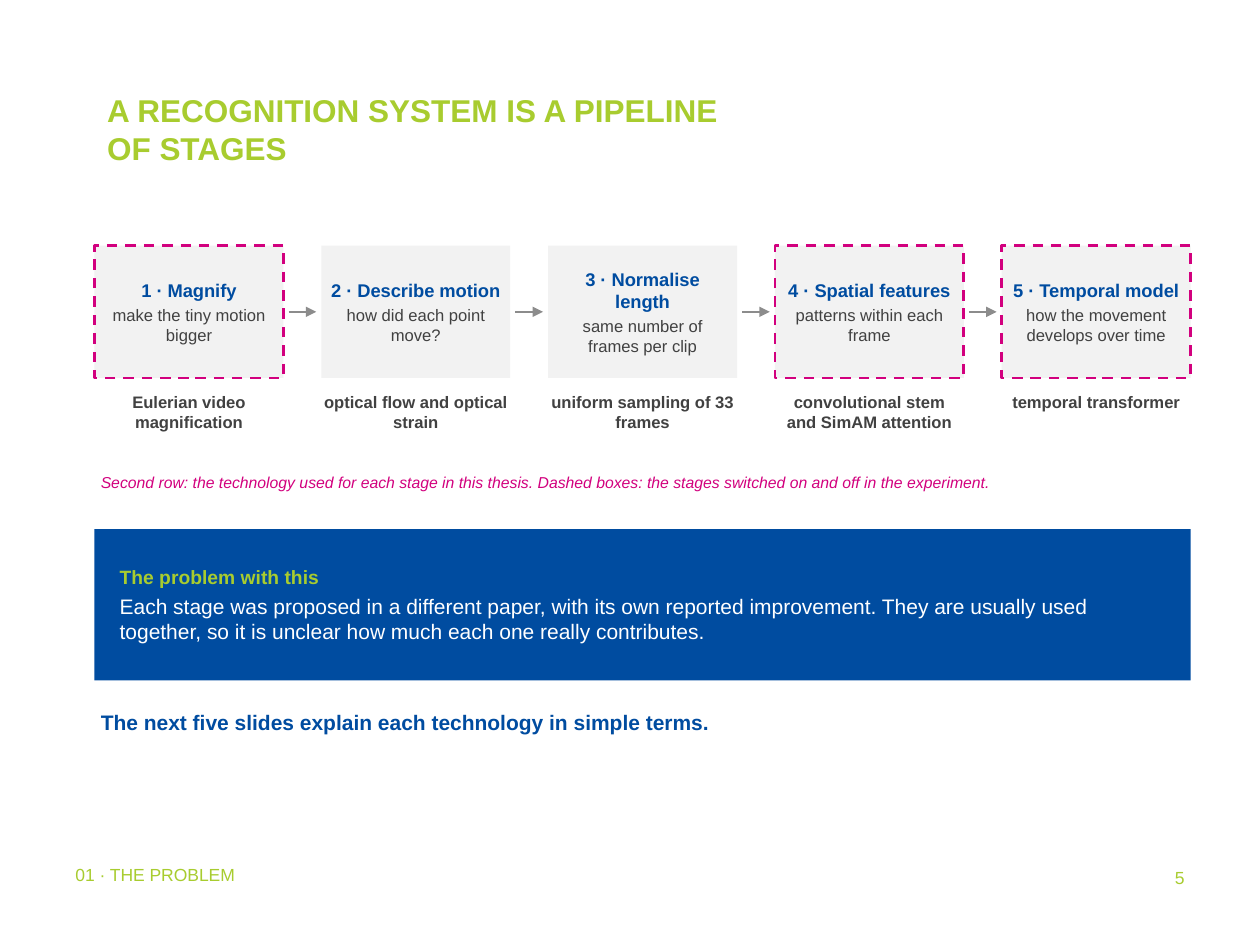
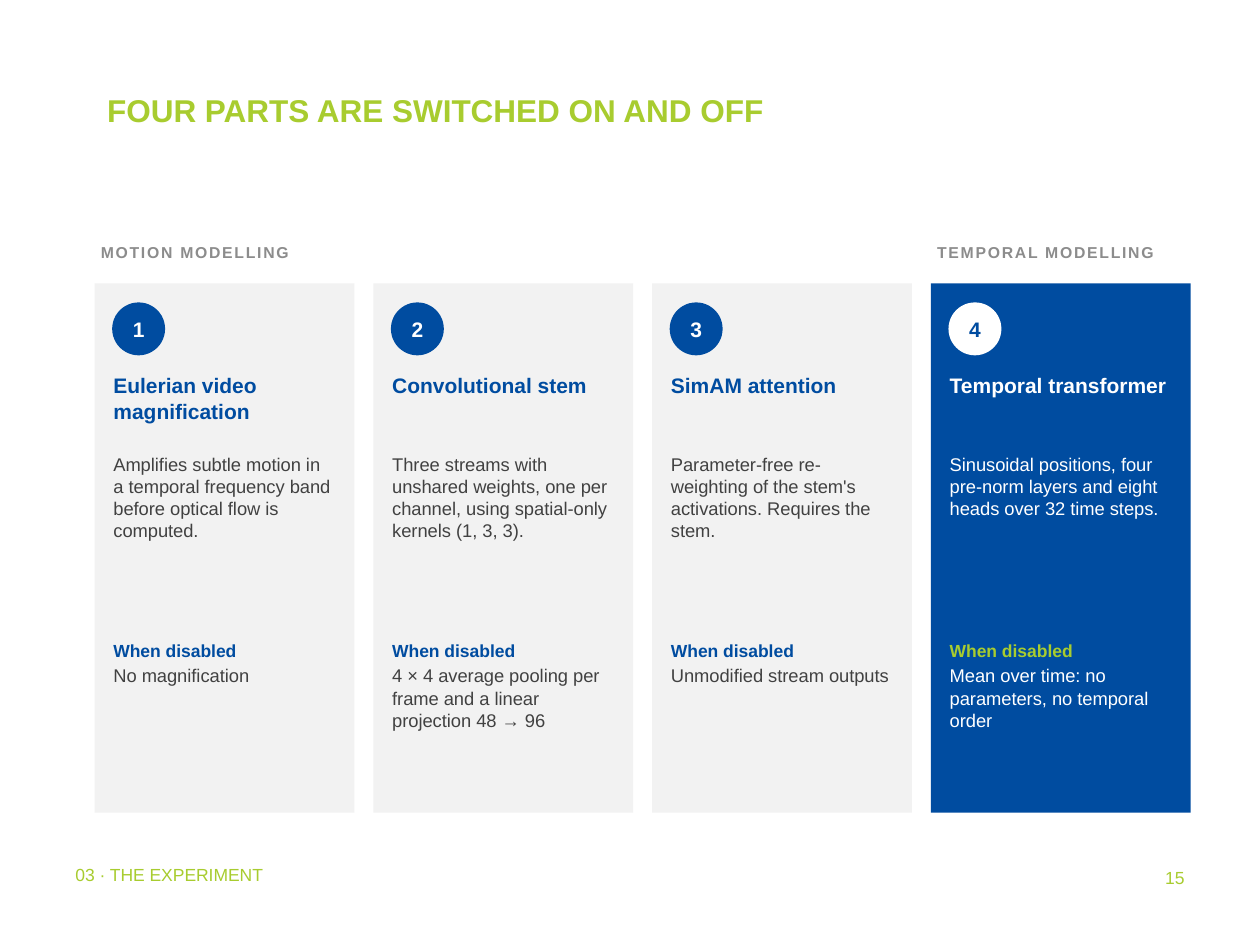
from lxml.etree import SubElement
from pptx import Presentation
from pptx.dml.color import RGBColor
from pptx.enum.dml import MSO_LINE
from pptx.enum.shapes import MSO_CONNECTOR, MSO_SHAPE
from pptx.enum.text import MSO_ANCHOR, MSO_AUTO_SIZE, PP_ALIGN
from pptx.oxml.ns import qn
from pptx.util import Inches, Pt

FONT = "Arial"
GREEN = RGBColor(0xA8, 0xCC, 0x2F)
BLUE = RGBColor(0x00, 0x4C, 0xA0)
MAGENTA = RGBColor(0xD2, 0x00, 0x7E)
PALE = RGBColor(0xF2, 0xF2, 0xF2)
GREY = RGBColor(0x8C, 0x8C, 0x8C)
DARK = RGBColor(0x41, 0x41, 0x41)
WHITE = RGBColor(0xFF, 0xFF, 0xFF)

LEFT = 0.75
CONTENT_WIDTH = 8.7
TIGHT = (0.02, 0.03)
NORMAL = (0.05, 0.03)

PIPELINE = {
    "title": "A RECOGNITION SYSTEM IS A PIPELINE OF STAGES",
    "section": "01 · THE PROBLEM",
    "number": "5",
    "stages": [
        ("Magnify", "make the tiny motion bigger",
         "Eulerian video magnification", True),
        ("Describe motion", "how did each point move?",
         "optical flow and optical strain", False),
        ("Normalise length", "same number of frames per clip",
         "uniform sampling of 33 frames", False),
        ("Spatial features", "patterns within each frame",
         "convolutional stem and SimAM attention", True),
        ("Temporal model", "how the movement develops over time",
         "temporal transformer", True),
    ],
    "legend": "Second row: the technology used for each stage in this thesis. "
              "Dashed boxes: the stages switched on and off in the experiment.",
    "problem": "The problem with this",
    "explanation": "Each stage was proposed in a different paper, with its own "
                   "reported improvement. They are usually used together, so it "
                   "is unclear how much each one really contributes.",
    "outlook": "The next five slides explain each technology in simple terms.",
}

EXPERIMENT = {
    "title": "FOUR PARTS ARE SWITCHED ON AND OFF",
    "section": "03 · THE EXPERIMENT",
    "number": "15",
    "groups": [("MOTION MODELLING", 0, 3), ("TEMPORAL MODELLING", 3, 1)],
    "disabled": "When disabled",
    "parts": [
        ("Eulerian video magnification",
         "Amplifies subtle motion in a temporal frequency band before optical "
         "flow is computed.",
         "No magnification"),
        ("Convolutional stem",
         "Three streams with unshared weights, one per channel, using "
         "spatial-only kernels (1, 3, 3).",
         "4 × 4 average pooling per frame and a linear projection 48 → 96"),
        ("SimAM attention",
         "Parameter-free re-weighting of the stem's activations. Requires the "
         "stem.",
         "Unmodified stream outputs"),
        ("Temporal transformer",
         "Sinusoidal positions, four pre-norm layers and eight heads over 32 "
         "time steps.",
         "Mean over time: no parameters, no temporal order"),
    ],
}


def line(text, size, color, bold=False, italic=False, after=0, spacing=None):
    return text, size, color, bold, italic, after, spacing


def write(shape, lines, align=PP_ALIGN.LEFT, anchor=MSO_ANCHOR.TOP, insets=NORMAL):
    frame = shape.text_frame
    frame.word_wrap = True
    frame.auto_size = MSO_AUTO_SIZE.NONE
    frame.vertical_anchor = anchor
    frame.margin_left = frame.margin_right = Inches(insets[0])
    frame.margin_top = frame.margin_bottom = Inches(insets[1])
    for index, (text, size, color, bold, italic, after, spacing) in enumerate(lines):
        paragraph = frame.add_paragraph() if index else frame.paragraphs[0]
        paragraph.text = text
        paragraph.alignment = align
        paragraph.space_before = Pt(0)
        paragraph.space_after = Pt(after)
        font = paragraph.runs[0].font
        font.name, font.size = FONT, Pt(size)
        font.bold, font.italic = bold, italic
        font.color.rgb = color
        if spacing:
            font._element.set("spc", str(spacing * 100))


def add_text(slide, left, top, width, height, lines, **style):
    box = slide.shapes.add_textbox(
        Inches(left), Inches(top), Inches(width), Inches(height))
    write(box, lines, **style)


def add_filled(slide, kind, left, top, width, height, fill):
    shape = slide.shapes.add_shape(
        kind, Inches(left), Inches(top), Inches(width), Inches(height))
    shape.shadow.inherit = False
    shape.fill.solid()
    shape.fill.fore_color.rgb = fill
    shape.line.fill.background()
    return shape


def add_arrow(slide, start, end, y):
    arrow = slide.shapes.add_connector(
        MSO_CONNECTOR.STRAIGHT, Inches(start), Inches(y), Inches(end), Inches(y))
    arrow.line.color.rgb = GREY
    arrow.line.width = Pt(1.25)
    SubElement(arrow.line._get_or_add_ln(), qn("a:tailEnd"), type="triangle")
    SubElement(arrow._element.spPr, qn("a:effectLst"))


def start_slide(presentation, content):
    slide = presentation.slides.add_slide(presentation.slide_layouts[5])
    title = slide.shapes.title
    title.left, title.top = Inches(LEFT), Inches(0.67)
    title.width, title.height = Inches(5.42), Inches(1.25)
    write(title, [line(content["title"], 18, GREEN, bold=True)], insets=(0.1, 0.05))
    add_text(slide, 0.5, 6.83, 5.67, 0.4,
             [line(content["section"], 10, GREEN)], insets=(0.1, 0.03))
    add_text(slide, 7.42, 6.83, 2.08, 0.5, [line(content["number"], 10, GREEN)],
             align=PP_ALIGN.RIGHT, insets=(0.1, 0.05))
    return slide


def build_pipeline(presentation):
    slide = start_slide(presentation, PIPELINE)
    top, width, height, gap = 1.95, 1.5, 1.05, 0.3
    inset = 0.04
    centred = {"align": PP_ALIGN.CENTER, "insets": TIGHT}
    stages = PIPELINE["stages"]
    for index, (name, purpose, technology, switched) in enumerate(stages):
        left = LEFT + index * (width + gap)
        box = add_filled(slide, MSO_SHAPE.RECTANGLE, left, top, width, height, PALE)
        if switched:
            box.line.color.rgb = MAGENTA
            box.line.width = Pt(1.5)
            box.line.dash_style = MSO_LINE.DASH
        add_text(slide, left + inset, top, width - 2 * inset, height,
                 [line(f"{index + 1} · {name}", 10.5, BLUE, bold=True, after=2),
                  line(purpose, 9.5, DARK)],
                 anchor=MSO_ANCHOR.MIDDLE, **centred)
        add_text(slide, left, 3.08, width, 0.6,
                 [line(technology, 9.5, DARK, bold=True)], **centred)
        if index < len(stages) - 1:
            right = left + width
            add_arrow(slide, right + inset, right + gap - inset, top + height / 2)

    add_text(slide, LEFT, 3.72, CONTENT_WIDTH, 0.3,
             [line(PIPELINE["legend"], 9, MAGENTA, italic=True, after=3)])
    add_filled(slide, MSO_SHAPE.RECTANGLE, LEFT, 4.2, CONTENT_WIDTH, 1.2, BLUE)
    add_text(slide, 0.9, 4.26, 8.4, 1.08,
             [line(PIPELINE["problem"], 11, GREEN, bold=True, after=3),
              line(PIPELINE["explanation"], 12, WHITE, after=3)],
             anchor=MSO_ANCHOR.MIDDLE)
    add_text(slide, LEFT, 5.6, CONTENT_WIDTH, 0.8,
             [line(PIPELINE["outlook"], 12, BLUE, bold=True, after=3)])


def build_experiment(presentation):
    slide = start_slide(presentation, EXPERIMENT)
    parts = EXPERIMENT["parts"]
    gap = 0.15
    width = (CONTENT_WIDTH - gap * (len(parts) - 1)) / len(parts)
    pitch = width + gap
    for label, first, count in EXPERIMENT["groups"]:
        add_text(slide, LEFT + first * pitch, 1.9, count * pitch - gap, 0.3,
                 [line(label, 9, GREY, bold=True, after=3, spacing=1)])

    for index, (name, description, fallback) in enumerate(parts):
        left = LEFT + index * pitch
        highlighted = index == len(parts) - 1
        fill, accent, body, label = (
            (BLUE, WHITE, WHITE, GREEN) if highlighted else (PALE, BLUE, DARK, BLUE))
        add_filled(slide, MSO_SHAPE.RECTANGLE, left, 2.25, width, 4.2, fill)
        badge = add_filled(slide, MSO_SHAPE.OVAL, left + 0.14, 2.4, 0.42, 0.42, accent)
        write(badge, [line(str(index + 1), 12, BLUE if highlighted else WHITE, bold=True)],
              align=PP_ALIGN.CENTER, anchor=MSO_ANCHOR.MIDDLE, insets=(0, 0))
        blocks = [
            (2.93, 0.62, [line(name, 12, accent, bold=True)]),
            (3.57, 1.4, [line(description, 10.5, body, after=3)]),
            (5.05, 1.35, [line(EXPERIMENT["disabled"], 10, label, bold=True, after=2),
                          line(fallback, 10.5, body, after=3)]),
        ]
        for top, height, lines in blocks:
            add_text(slide, left + 0.1, top, width - 0.2, height, lines)


def main():
    presentation = Presentation()
    presentation.slide_width, presentation.slide_height = Inches(10), Inches(7.5)
    build_pipeline(presentation)
    build_experiment(presentation)
    presentation.save("out.pptx")


if __name__ == "__main__":
    main()
